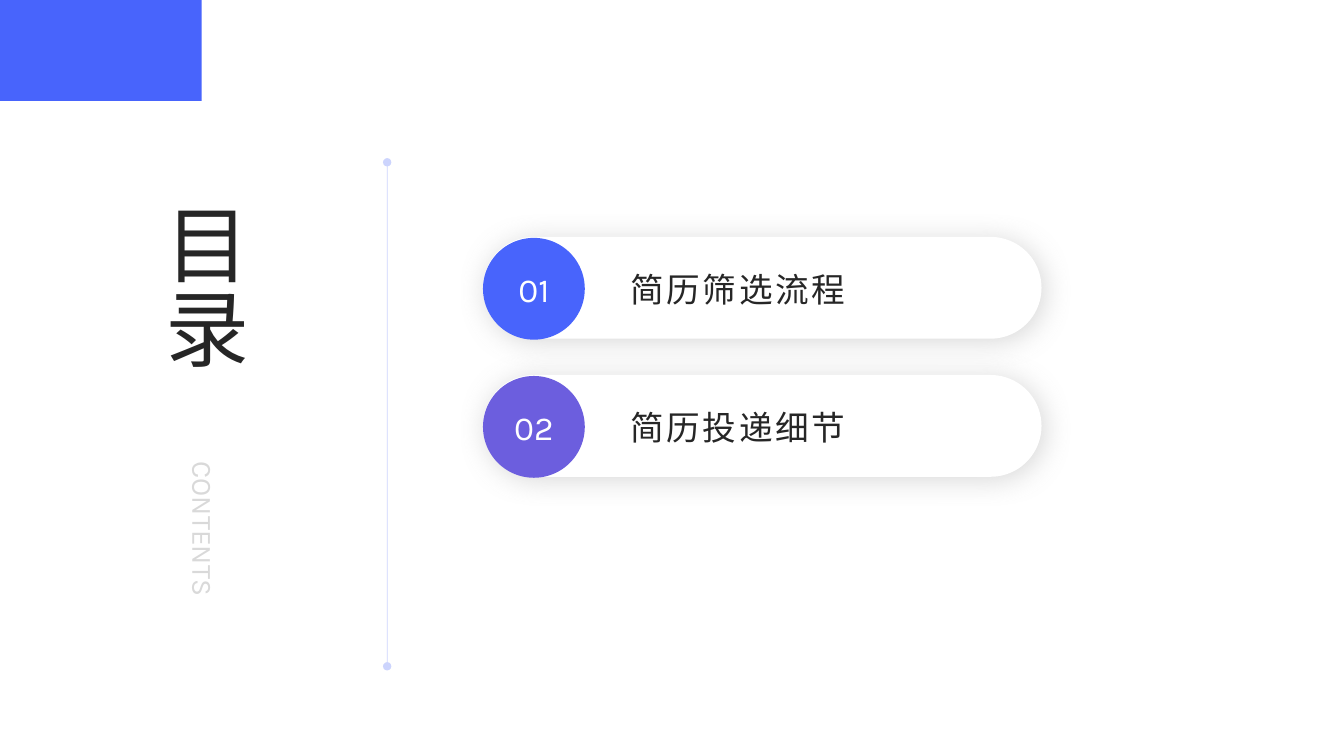
from dataclasses import dataclass
from math import cos, pi, sin

from lxml import etree
from pptx import Presentation
from pptx.dml.color import RGBColor
from pptx.enum.shapes import MSO_CONNECTOR, MSO_SHAPE
from pptx.enum.text import MSO_ANCHOR, PP_ALIGN
from pptx.oxml.ns import qn
from pptx.util import Inches, Pt

PILL, DISC = MSO_SHAPE.ROUNDED_RECTANGLE, MSO_SHAPE.OVAL
STRAIGHT = MSO_CONNECTOR.STRAIGHT
MIDDLE = MSO_ANCHOR.MIDDLE
LEFT, CENTER = PP_ALIGN.LEFT, PP_ALIGN.CENTER
JUSTIFY = PP_ALIGN.JUSTIFY

# Content
TITLE = "目录"
SUBTITLE = "CONTENTS"
TOPICS = ["简历筛选流程", "简历投递细节"]


@dataclass(frozen=True)
class Theme:
    font: str = "Karla"
    ink: str = "262626"
    pale: str = "D9D9D9"
    white: str = "FFFFFF"
    blue: str = "4864FC"
    violet: str = "6C5EDE"
    rule: str = "002AF9"
    shade: str = "808080"
    title: int = 60
    item: int = 24
    sub: int = 20


theme = Theme()
DISCS = [theme.blue, theme.violet]

# Layout in inches
WIDE, HIGH = 13.33, 7.5
TAB_W, TAB_H, TAB_R = 2.44, 0.95, 0.24
TITLE_BOX = (1.28, 1.96, 1.5, 2.32)
SUB_BOX = (1.27, 4.53, 1.5, 2.13)
RULE_X, RULE_TOP, RULE_END = 3.84, 1.61, 6.61
ROW_X, ROW_Y, STEP = 4.79, 2.35, 1.37
ROW_W, ROW_H = 5.54, 1.01
TEXT_X, TEXT_W = 6.15, 4.19


def box(*sides):
    return [Inches(side) for side in sides]


def node(parent, tag, **attrs):
    return etree.SubElement(parent, qn(tag), {k: str(v) for k, v in attrs.items()})


def paint(shape, color):
    shape.shadow.inherit = False
    shape.fill.solid()
    shape.fill.fore_color.rgb = RGBColor.from_string(color)
    shape.line.fill.background()


def write(shape, text, size, color, align, inset=None):
    frame = shape.text_frame
    frame.text = text
    frame.word_wrap = True
    frame.vertical_anchor = MIDDLE
    if inset is not None:
        frame.margin_left = frame.margin_right = Inches(inset)
        frame.margin_top = frame.margin_bottom = 0
    para = frame.paragraphs[0]
    para.alignment = align
    font = para.runs[0].font
    font.name, font.size = theme.font, Pt(size)
    font.color.rgb = RGBColor.from_string(color)
    return para


def upright(holder, place, text, size, color, align):
    """Fill a placeholder with text that runs downwards."""
    holder.left, holder.top, holder.width, holder.height = box(*place)
    para = write(holder, text, size, color, align)
    holder.text_frame._txBody.bodyPr.set("vert", "eaVert")
    return para


def draw_tab(shapes):
    """Draw the corner block, rounded at its lower right."""
    turns = [pi / 2 * i / 24 for i in range(25)]
    curve = [(TAB_W - TAB_R + TAB_R * cos(t), TAB_H - TAB_R + TAB_R * sin(t))
             for t in turns]
    points = [(TAB_W, 0), *curve, (0, TAB_H)]
    pen = shapes.build_freeform(0, 0, scale=Inches(1))
    pen.add_line_segments(points, close=True)
    paint(pen.convert_to_shape(), theme.blue)


def draw_rule(shapes):
    """Draw the faint upright line with a dot at each end."""
    rule = shapes.add_connector(
        STRAIGHT, *box(RULE_X, RULE_TOP, RULE_X, RULE_END))
    rule.line.width = Pt(0.5)
    rule.line.color.rgb = RGBColor.from_string(theme.rule)
    props = rule._element.spPr
    line = props.find(qn("a:ln"))
    node(line.find(".//" + qn("a:srgbClr")), "a:alpha", val=20000)
    node(line, "a:headEnd", type="oval")
    node(line, "a:tailEnd", type="oval")
    node(props, "a:effectLst")


def add_shadow(shape):
    effects = shape._element.spPr.find(qn("a:effectLst"))
    cast = node(effects, "a:outerShdw", blurRad=Pt(20), dist=Pt(3),
                dir=45 * 60000, algn="tl", rotWithShape=0)
    tint = node(cast, "a:srgbClr", val=theme.shade)
    node(tint, "a:alpha", val=30000)


def draw_topic(shapes, row, topic, color):
    top = ROW_Y + row * STEP
    pill = shapes.add_shape(PILL, *box(ROW_X, top, ROW_W, ROW_H))
    pill.adjustments[0] = 0.5
    paint(pill, theme.white)
    add_shadow(pill)

    disc = shapes.add_shape(DISC, *box(ROW_X, top + 0.01, ROW_H, ROW_H))
    paint(disc, color)
    write(disc, f"{row + 1:02}", theme.item, theme.white, CENTER, 0)

    label = shapes.add_textbox(*box(TEXT_X, top + 0.01, TEXT_W, ROW_H))
    para = write(label, topic, theme.item, theme.ink, LEFT, 0.1)
    para.runs[0].font._element.set("spc", "200")


def main():
    deck = Presentation()
    deck.slide_width, deck.slide_height = box(WIDE, HIGH)
    slide = deck.slides.add_slide(deck.slide_layouts[1])
    shapes = slide.shapes
    draw_rule(shapes)
    draw_tab(shapes)
    upright(shapes.title, TITLE_BOX, TITLE, theme.title, theme.ink, LEFT)
    para = upright(slide.placeholders[1], SUB_BOX, SUBTITLE,
                   theme.sub, theme.pale, JUSTIFY)
    para.space_before, para.space_after = Pt(0), Pt(10)
    props = para._p.get_or_add_pPr()
    props.set("marL", "0")
    props.set("indent", "0")
    node(props, "a:buNone")
    for row, (topic, color) in enumerate(zip(TOPICS, DISCS)):
        draw_topic(shapes, row, topic, color)
    deck.save("out.pptx")


if __name__ == "__main__":
    main()
